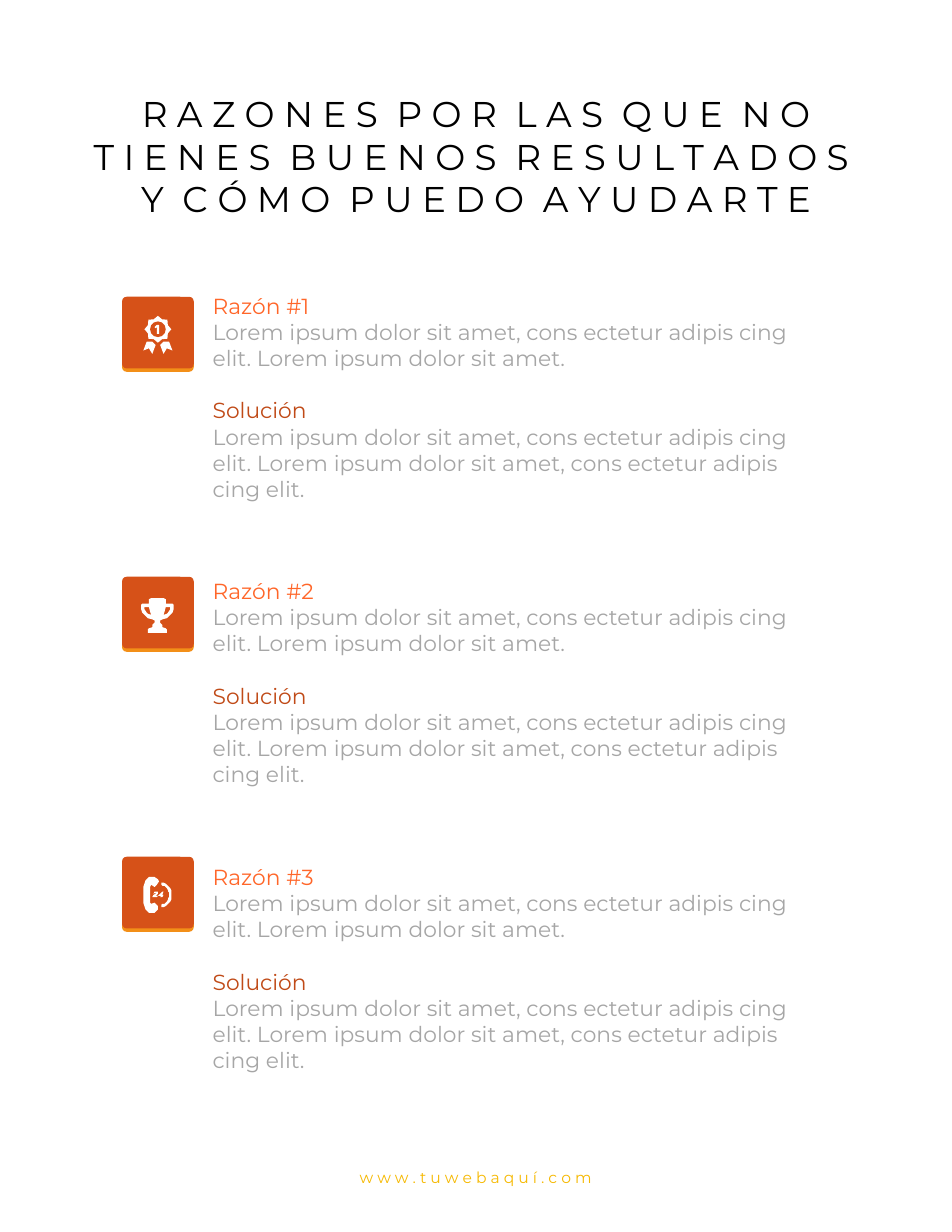
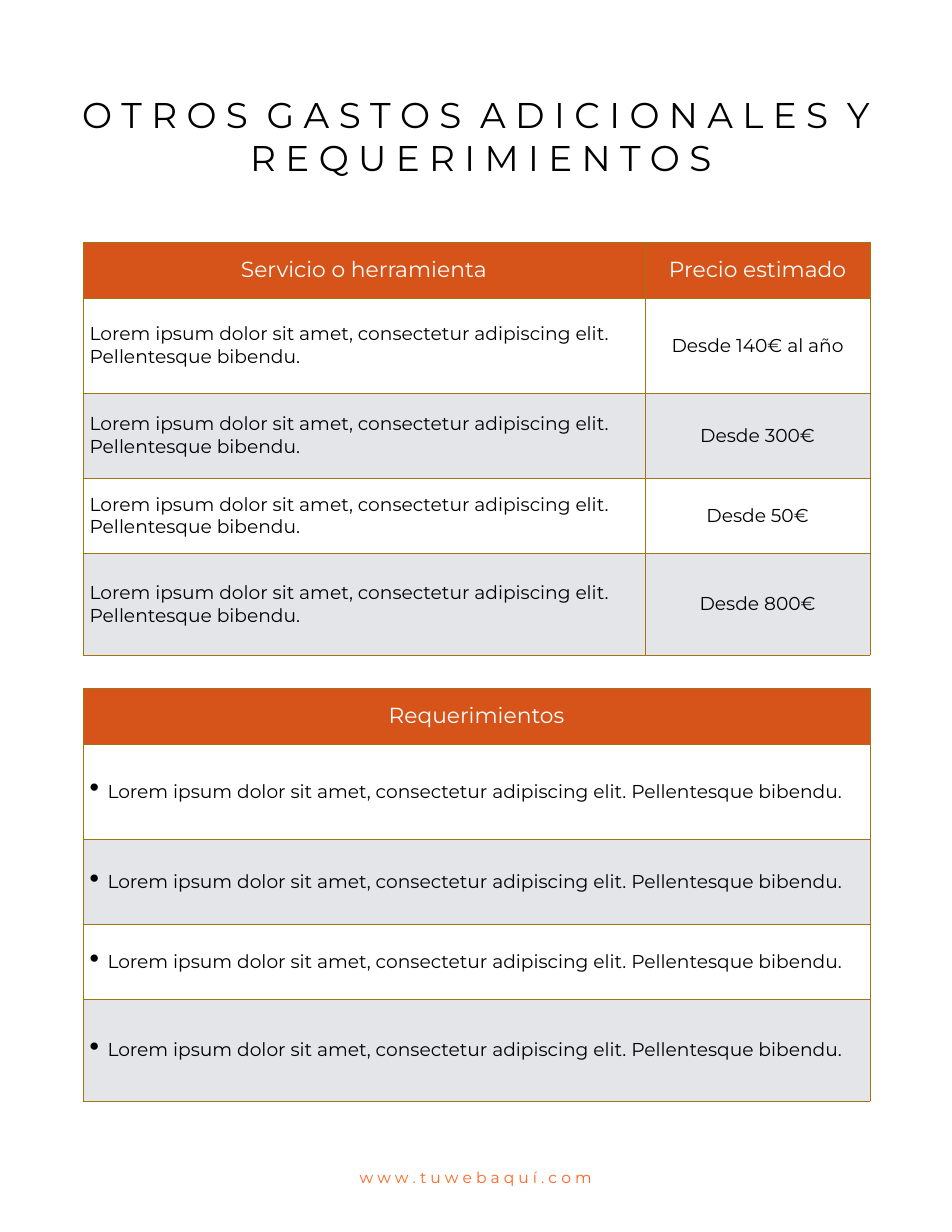
import math

from lxml import etree
from pptx import Presentation
from pptx.dml.color import RGBColor
from pptx.enum.shapes import MSO_SHAPE
from pptx.enum.text import MSO_ANCHOR, MSO_AUTO_SIZE, PP_ALIGN
from pptx.oxml.ns import qn
from pptx.util import Inches, Pt

ROUNDED = MSO_SHAPE.ROUNDED_RECTANGLE
OVAL = MSO_SHAPE.OVAL
STAR = MSO_SHAPE.STAR_8_POINT
MIDDLE, TOP = MSO_ANCHOR.MIDDLE, MSO_ANCHOR.TOP
LEFT, CENTER = PP_ALIGN.LEFT, PP_ALIGN.CENTER
GROW = MSO_AUTO_SIZE.SHAPE_TO_FIT_TEXT
TITLE_ONLY = 5

FONT = "Montserrat"
COLORS = {
    "black": "000000",
    "white": "FFFFFF",
    "gray": "A6A6A6",
    "reason": "FF6629",
    "solution": "C04A17",
    "tile": "D65118",
    "tile edge": "F38F18",
    "header": "D65319",
    "band": "E3E5E8",
    "border": "A37512",
    "yellow": "F6B902",
    "orange": "FF6420",
}

TILE_LEFT, TILE_SIZE = 1.09, 0.64
TABLE_LEFT = 0.74
ROW_HEIGHTS = [0.5, 0.85, 0.76, 0.67, 0.91]

REASON = ("Lorem ipsum dolor sit amet, cons ectetur adipis cing elit. "
          "Lorem ipsum dolor sit amet.")
SOLUTION = ("Lorem ipsum dolor sit amet, cons ectetur adipis cing elit. "
            "Lorem ipsum dolor sit amet, cons ectetur adipis cing elit.")
ITEM = ("Lorem ipsum dolor sit amet, consectetur adipiscing elit. "
        "Pellentesque bibendu.")
PRICES = ["Desde 140€ al año", "Desde 300€", "Desde 50€", "Desde 800€"]

# Icon outlines, in hundredths of an inch from the corner of their tile
RIBBON = [(22, 40), (19, 48), (24, 46), (27, 51), (30, 43), (27, 40)]
DIGIT_ONE = [(29, 27), (30, 28), (31, 27), (31, 33), (33, 33), (33, 25), (31, 25)]
CUP_HALF = [(26, 19), (24, 20), (24, 24), (18, 24), (17, 25), (17, 29), (18, 32),
            (20, 34), (23, 37), (27, 38), (29, 39), (29, 41), (28, 42), (27, 43),
            (27, 45), (24, 46), (23, 47), (23, 50)]
CUP_HANDLE = [(26, 34), (25, 31), (24, 27), (20, 27), (20, 29), (22, 32), (23, 33)]
HANDSET = [(19, 27), (19, 41), (21, 47), (24, 50), (29, 50), (32, 47), (32, 44),
           (29, 41), (26, 42), (25, 41), (25, 27), (26, 25), (29, 27), (31, 25),
           (33, 22), (32, 20), (29, 18), (24, 18), (21, 21)]
DIGIT_TWO = [(27, 36), (31, 36), (32, 35), (30, 35), (32, 33), (32, 31), (29, 31),
             (28, 33), (30, 32), (30, 33), (28, 34)]
DIGIT_FOUR = [(32, 35), (35, 35), (34, 36), (36, 36), (37, 34), (36, 34), (37, 31),
              (36, 31)]


def color(name):
    return RGBColor.from_string(COLORS[name])


def spaced(text):
    """Set the letters of a text apart, and its words twice as far."""
    return "  ".join(" ".join(word) for word in text.split())


def format_paragraph(paragraph, size, color_name, align=LEFT):
    paragraph.alignment = align
    paragraph.font.name = FONT
    paragraph.font.size = Pt(size)
    paragraph.font.color.rgb = color(color_name)


def set_margins(target, inset):
    target.margin_left = target.margin_right = Inches(inset)
    target.margin_top = target.margin_bottom = Inches(inset)


def place(shape, left, top, width, height):
    shape.left, shape.top = Inches(left), Inches(top)
    shape.width, shape.height = Inches(width), Inches(height)


def add_title(slide, lines, height, anchor):
    title = slide.shapes.title
    place(title, 0.64, 0.77, 7.23, height)
    frame = title.text_frame
    frame.text = "\n".join(spaced(line) for line in lines)
    frame.word_wrap = True
    frame.auto_size = GROW
    frame.vertical_anchor = anchor
    set_margins(frame, 0.06)
    for paragraph in frame.paragraphs:
        format_paragraph(paragraph, 23, "black", CENTER)


def add_footer(slide, color_name):
    box = slide.shapes.add_textbox(
        Inches(3.15), Inches(10.37), Inches(2.19), Inches(0.28))
    frame = box.text_frame
    frame.text = spaced("www.tuwebaquí.com")
    frame.word_wrap = False
    frame.auto_size = GROW
    frame.vertical_anchor = MIDDLE
    set_margins(frame, 0.06)
    format_paragraph(frame.paragraphs[0], 10, color_name, CENTER)


def add_reason(slide, number, top):
    box = slide.shapes.add_textbox(
        Inches(1.8), Inches(top), Inches(5.61), Inches(2.24))
    frame = box.text_frame
    frame.word_wrap = True
    set_margins(frame, 0.1)
    lines = [(f"Razón #{number}", "reason"), (REASON, "gray"),
             ("Solución", "solution"), (SOLUTION, "gray")]
    frame.text = "\n".join(text for text, _ in lines)
    for paragraph, (_, color_name) in zip(frame.paragraphs, lines):
        format_paragraph(paragraph, 14, color_name)
    frame.paragraphs[2].space_before = Pt(17)


def paint(shape, color_name):
    shape.shadow.inherit = False
    shape.fill.solid()
    shape.fill.fore_color.rgb = color(color_name)
    shape.line.fill.background()


def add_preset(slide, kind, left, top, size, color_name, adjustment=None):
    shape = slide.shapes.add_shape(
        kind, Inches(left), Inches(top), Inches(size), Inches(size))
    paint(shape, color_name)
    if adjustment is not None:
        shape.adjustments[0] = adjustment


def add_tile(slide, top):
    for offset, color_name in ((0.03, "tile edge"), (0, "tile")):
        add_preset(slide, ROUNDED, TILE_LEFT, top + offset, TILE_SIZE,
                   color_name, 0.065)


def add_outline(slide, top, *contours):
    """Draw contours as one white shape; inner contours become holes."""
    builder = slide.shapes.build_freeform(*contours[0][0], scale=Inches(0.01))
    builder.add_line_segments(contours[0][1:], close=True)
    for contour in contours[1:]:
        builder.move_to(*contour[0])
        builder.add_line_segments(contour[1:], close=True)
    paint(builder.convert_to_shape(Inches(TILE_LEFT), Inches(top)), "white")


def mirror(points, width):
    return [(width - x, y) for x, y in points]


def arc(radius, degrees):
    angles = [math.radians(degree) for degree in degrees]
    return [(33 + radius * math.cos(angle), 34 + radius * math.sin(angle))
            for angle in angles]


def draw_medal(slide, top):
    add_outline(slide, top, RIBBON)
    add_outline(slide, top, mirror(RIBBON, 64))
    add_preset(slide, STAR, TILE_LEFT + 0.2, top + 0.17, 0.24, "white", 0.4)
    add_preset(slide, OVAL, TILE_LEFT + 0.25, top + 0.22, 0.14, "tile")
    add_outline(slide, top, DIGIT_ONE)


def draw_trophy(slide, top):
    cup = CUP_HALF + mirror(CUP_HALF, 63)[::-1]
    add_outline(slide, top, cup, CUP_HANDLE, mirror(CUP_HANDLE, 63))


def draw_phone(slide, top):
    ring = arc(11.5, range(-80, 81, 10)) + arc(9, range(80, -81, -10))
    for contour in (HANDSET, ring, DIGIT_TWO, DIGIT_FOUR):
        add_outline(slide, top, contour)


def add_borders(cell):
    properties = cell._tc.get_or_add_tcPr()
    for side in ("a:lnL", "a:lnR", "a:lnT", "a:lnB"):
        line = etree.SubElement(properties, qn(side), w=str(Pt(0.25)))
        fill = etree.SubElement(line, qn("a:solidFill"))
        etree.SubElement(fill, qn("a:srgbClr"), val=COLORS["border"])


def add_bullet(paragraph):
    properties = paragraph._p.get_or_add_pPr()
    properties.set("marL", str(Inches(0.16)))
    properties.set("indent", str(-Inches(0.16)))
    etree.SubElement(properties, qn("a:buSzPct"), val="150000")
    etree.SubElement(properties, qn("a:buChar"), char="•")


def add_banded_table(slide, top, widths, rows, bulleted=False):
    frame = slide.shapes.add_table(
        len(rows), len(widths), Inches(TABLE_LEFT), Inches(top),
        Inches(sum(widths)), Inches(sum(ROW_HEIGHTS)))
    table = frame.table
    table.horz_banding = table.first_row = False
    for column, width in zip(table.columns, widths):
        column.width = Inches(width)
    for row_index, texts in enumerate(rows):
        table.rows[row_index].height = Inches(ROW_HEIGHTS[row_index])
        is_header = row_index == 0
        band = "white" if row_index % 2 else "band"
        for column_index, text in enumerate(texts):
            cell = table.cell(row_index, column_index)
            cell.text = text
            cell.vertical_anchor = MIDDLE
            set_margins(cell, 0.06)
            add_borders(cell)
            cell.fill.solid()
            cell.fill.fore_color.rgb = color("header" if is_header else band)
            paragraph = cell.text_frame.paragraphs[0]
            if is_header:
                format_paragraph(paragraph, 14, "white", CENTER)
                continue
            if bulleted:
                add_bullet(paragraph)
            format_paragraph(paragraph, 12, "black",
                             CENTER if column_index else LEFT)


def build_reasons(slide):
    add_title(slide, ["RAZONES POR LAS QUE NO",
                      "TIENES BUENOS RESULTADOS Y CÓMO PUEDO AYUDARTE"],
              1.24, MIDDLE)
    for index, draw_icon in enumerate((draw_medal, draw_trophy, draw_phone)):
        tile_top = 2.65 + 2.5 * index
        add_tile(slide, tile_top)
        draw_icon(slide, tile_top)
        add_reason(slide, index + 1, 2.51 + 2.55 * index)
    add_footer(slide, "yellow")


def build_expenses(slide):
    add_title(slide, ["OTROS GASTOS ADICIONALES Y REQUERIMIENTOS"], 0.86, TOP)
    services = [("Servicio o herramienta", "Precio estimado")]
    services += [(ITEM, price) for price in PRICES]
    add_banded_table(slide, 2.16, [5.02, 2.01], services)
    requirements = [("Requerimientos",)] + [(ITEM,)] * 4
    add_banded_table(slide, 6.14, [7.03], requirements, bulleted=True)
    add_footer(slide, "orange")


def main():
    presentation = Presentation()
    presentation.slide_width, presentation.slide_height = Inches(8.5), Inches(11)
    layout = presentation.slide_layouts[TITLE_ONLY]
    for build in (build_reasons, build_expenses):
        build(presentation.slides.add_slide(layout))
    presentation.save("out.pptx")


if __name__ == "__main__":
    main()
